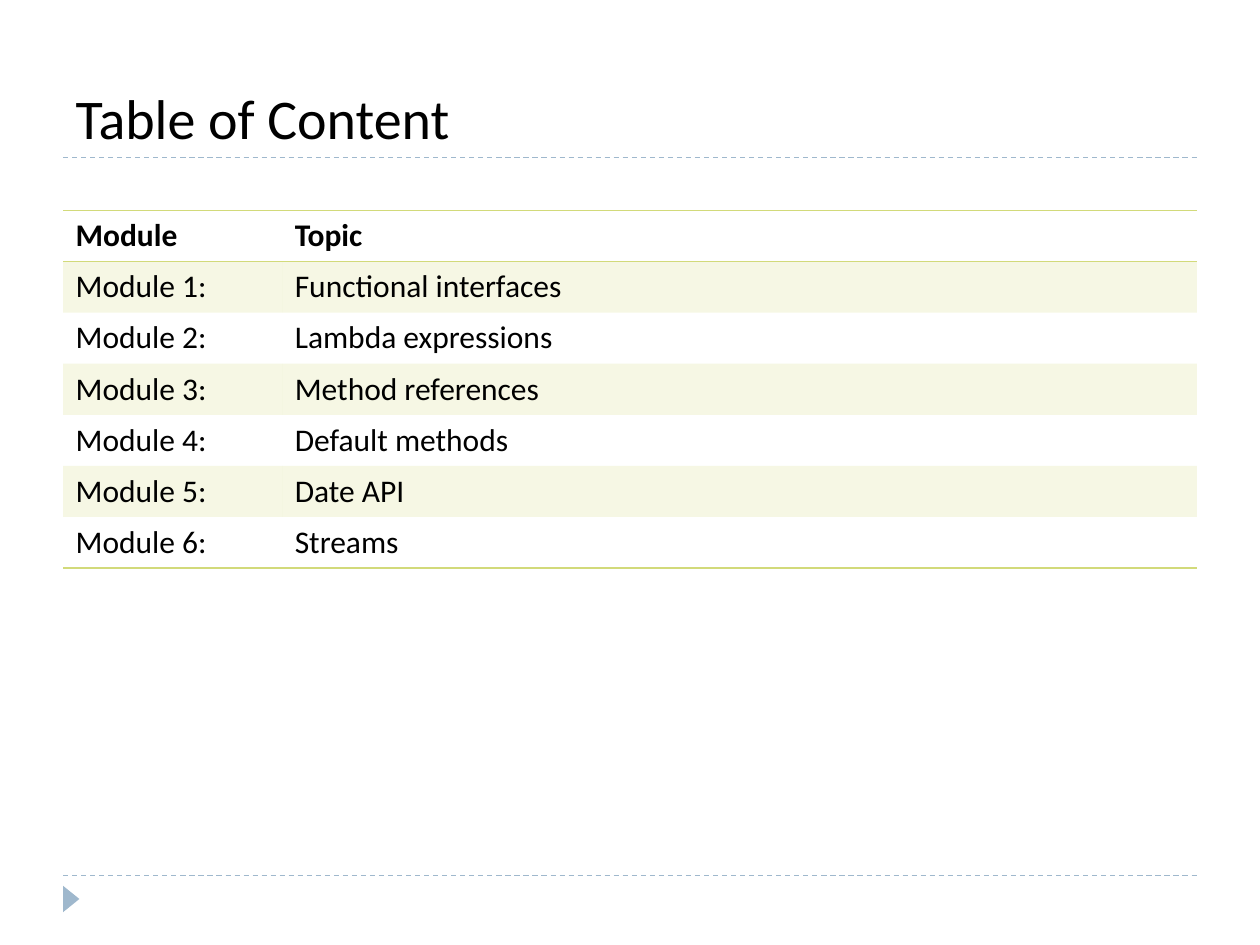
import pptx
import pptx.dml.color
import pptx.enum.dml
import pptx.enum.shapes
import pptx.enum.text
import pptx.oxml
import pptx.oxml.ns
import pptx.util
from lxml import etree

Inches = pptx.util.Inches
COLORS = {"text": "000000", "rule": "9FB8CD", "accent": "D2DA7A"}
MODULES = [
    "Functional interfaces",
    "Lambda expressions",
    "Method references",
    "Default methods",
    "Date API",
    "Streams",
]


def color(name):
    return pptx.dml.color.RGBColor.from_string(COLORS[name])


def add_child(parent, tag, **attributes):
    return etree.SubElement(parent, pptx.oxml.ns.qn(tag), **attributes)


def write_text(frame, text, size=18, bold=False, font="Calibri", fill="text"):
    paragraph = frame.paragraphs[0]
    paragraph.alignment = pptx.enum.text.PP_ALIGN.LEFT
    run = paragraph.add_run()
    run.text = text
    run.font.name = font
    run.font.size = pptx.util.Pt(size)
    run.font.bold = bold
    run.font.color.rgb = color(fill)


class SlideBuilder:
    """Holds the slide and its style, and adds each kind of element."""

    left, width = 0.5, 9

    def __init__(self, presentation):
        self.slide = presentation.slides.add_slide(presentation.slide_layouts[5])

    def rule(self, top):
        line = self.slide.shapes.add_connector(
            pptx.enum.shapes.MSO_CONNECTOR.STRAIGHT,
            Inches(self.left), Inches(top),
            Inches(self.left + self.width), Inches(top),
        )
        line.line.color.rgb = color("rule")
        line.line.width = pptx.util.Pt(0.75)
        line.line.dash_style = pptx.enum.dml.MSO_LINE.DASH
        add_child(line._element.spPr, "a:effectLst")

    def marker(self, left, top, width, height):
        triangle = self.slide.shapes.add_shape(
            pptx.enum.shapes.MSO_SHAPE.ISOSCELES_TRIANGLE,
            Inches(left), Inches(top), Inches(width), Inches(height),
        )
        triangle.rotation = 90
        triangle.shadow.inherit = False
        triangle.fill.solid()
        triangle.fill.fore_color.rgb = color("rule")
        triangle.line.fill.background()

    def title(self, text, top, height):
        title = self.slide.shapes.title
        title.left, title.top = Inches(self.left), Inches(top)
        title.width, title.height = Inches(self.width), Inches(height)
        frame = title.text_frame
        frame.auto_size = pptx.enum.text.MSO_AUTO_SIZE.NONE
        frame.vertical_anchor = pptx.enum.text.MSO_ANCHOR.BOTTOM
        write_text(frame, text, size=32)

    def borders(self, cell, visible):
        properties = cell._tc.get_or_add_tcPr()
        for side in "LRTB":
            if side in visible:
                border = add_child(properties, f"a:ln{side}", w="12700")
                fill = add_child(border, "a:solidFill")
                add_child(fill, "a:srgbClr", val=COLORS["accent"])
            else:
                border = add_child(properties, f"a:ln{side}", w="0")
                add_child(border, "a:noFill")

    def band(self, cell, shaded):
        if not shaded:
            cell.fill.background()
            return
        cell.fill.solid()
        cell.fill.fore_color.rgb = color("accent")
        tint = cell._tc.tcPr.find(
            f"{pptx.oxml.ns.qn('a:solidFill')}/{pptx.oxml.ns.qn('a:srgbClr')}"
        )
        add_child(tint, "a:alpha", val="20000")

    def table(self, rows, top, height, column_widths):
        table = self.slide.shapes.add_table(
            len(rows), len(column_widths),
            Inches(self.left), Inches(top), Inches(self.width), Inches(height),
        ).table
        table.horz_banding = False
        for column, width in zip(table.columns, column_widths):
            column.width = Inches(width)
        last = len(rows) - 1
        edges = {0: "TB", 1: "T", last: "B"}
        for row_index, texts in enumerate(rows):
            for column_index, text in enumerate(texts):
                cell = table.cell(row_index, column_index)
                self.borders(cell, edges.get(row_index, ""))
                self.band(cell, row_index % 2 == 1)
                write_text(cell.text_frame, text, bold=row_index == 0)


def main():
    presentation = pptx.Presentation()
    presentation.slide_width = Inches(10)
    presentation.slide_height = Inches(7.5)
    builder = SlideBuilder(presentation)
    for top in (6.95, 1.25):
        builder.rule(top)
    builder.marker(0.46, 7.07, 0.21, 0.13)
    builder.title("Table of Content", top=0.17, height=1.08)
    rows = [("Module", "Topic")]
    rows += [(f"Module {number}:", topic) for number, topic in enumerate(MODULES, 1)]
    builder.table(rows, top=1.67, height=2.84, column_widths=(1.74, 7.26))
    presentation.save("out.pptx")


main()
